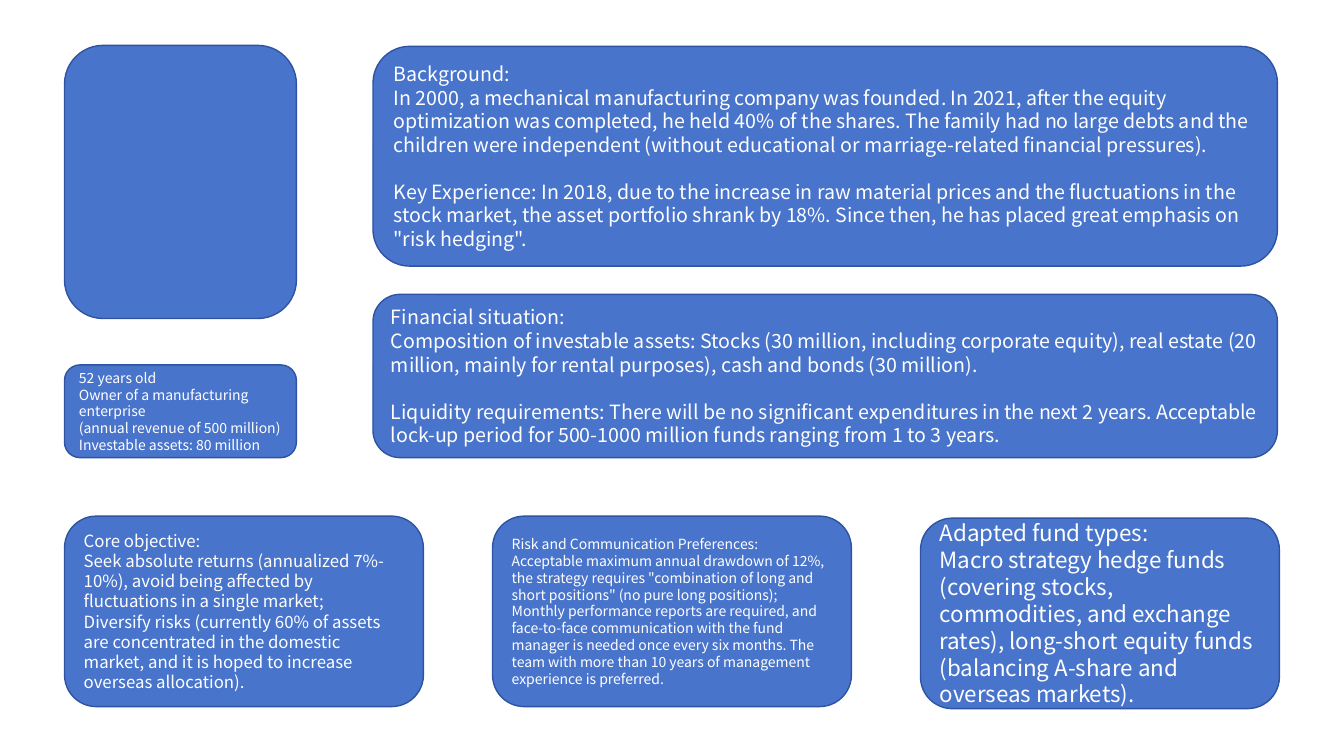
import pptx
import pptx.util
from pptx.dml.color import RGBColor
from pptx.enum.shapes import MSO_SHAPE
from pptx.enum.text import MSO_ANCHOR, PP_ALIGN
from pptx.util import Inches, Pt

COLORS = {"fill": "4874CB", "line": "2E54A1", "text": "FFFFFF"}
FONT = "Noto Sans CJK JP"
LINE_PITCH = 1.2

LEFT = 0.64
PROFILE_W = 2.3
DETAIL_X, DETAIL_W = 3.7, 8.97
CARD_W, CARD_H, CARD_STEP = 3.56, 1.89, 4.245

PROFILE = [
    "52 years old",
    "Owner of a manufacturing enterprise",
    "(annual revenue of 500 million)",
    "Investable assets: 80 million",
]
BACKGROUND = [
    "Background:",
    "In 2000, a mechanical manufacturing company was founded. In 2021, after the equity "
    "optimization was completed, he held 40% of the shares. The family had no large debts and "
    "the children were independent (without educational or marriage-related financial pressures).",
    "Key Experience: In 2018, due to the increase in raw material prices and the fluctuations in "
    "the stock market, the asset portfolio shrank by 18%. Since then, he has placed great "
    "emphasis on \"risk hedging\".",
]
FINANCES = [
    "Financial situation:",
    "Composition of investable assets: Stocks (30 million, including corporate equity), real "
    "estate (20 million, mainly for rental purposes), cash and bonds (30 million).",
    "Liquidity requirements: There will be no significant expenditures in the next 2 years. "
    "Acceptable lock-up period for 500-1000 million funds ranging from 1 to 3 years.",
]
# top, text size, paragraphs
CARDS = [
    (5.12, 12, [
        "Core objective:",
        "Seek absolute returns (annualized 7%-10%), avoid being affected by fluctuations in a "
        "single market;",
        "Diversify risks (currently 60% of assets are concentrated in the domestic market, and "
        "it is hoped to increase overseas allocation).",
    ]),
    (5.12, 10, [
        "Risk and Communication Preferences:",
        "Acceptable maximum annual drawdown of 12%, the strategy requires \"combination of long "
        "and short positions\" (no pure long positions);",
        "Monthly performance reports are required, and face-to-face communication with the fund "
        "manager is needed once every six months. The team with more than 10 years of management "
        "experience is preferred.",
    ]),
    (5.14, 16, [
        "Adapted fund types:",
        "Macro strategy hedge funds (covering stocks, commodities, and exchange rates), "
        "long-short equity funds (balancing A-share and overseas markets).",
    ]),
]


def add_panel(s, x, y, w, h, size=10, paragraphs=(), gap_before=None):
    """Rounded panel; gap_before is the index of a paragraph set off by one line."""
    sp = s.shapes.add_shape(MSO_SHAPE.ROUNDED_RECTANGLE,
                            Inches(x), Inches(y), Inches(w), Inches(h))
    sp.shadow.inherit = False
    sp.fill.solid()
    sp.fill.fore_color.rgb = RGBColor.from_string(COLORS["fill"])
    sp.line.color.rgb = RGBColor.from_string(COLORS["line"])
    sp.line.width = Pt(1)
    if not paragraphs:
        return
    tf = sp.text_frame
    tf.word_wrap = True
    tf.vertical_anchor = MSO_ANCHOR.MIDDLE
    tf.text = "\n".join(paragraphs)
    for i, p in enumerate(tf.paragraphs):
        p.alignment = PP_ALIGN.LEFT
        p.line_spacing = Pt(size * LINE_PITCH)
        if i == gap_before:
            p.space_before = Pt(size * LINE_PITCH)
        for r in p.runs:
            r.font.name = FONT
            r.font.size = Pt(size)
            r.font.color.rgb = RGBColor.from_string(COLORS["text"])


def add_profile(s, x, y, w):
    add_panel(s, x, y, w, 2.71)
    add_panel(s, x, y + 3.17, w, 0.92, 10, PROFILE)


def add_details(s, x, y, w):
    add_panel(s, x, y, w, 2.18, 14, BACKGROUND, gap_before=2)
    add_panel(s, x, y + 2.46, w, 1.62, 14, FINANCES, gap_before=2)


def add_cards(s, x):
    for i, (y, size, paragraphs) in enumerate(CARDS):
        add_panel(s, x + i * CARD_STEP, y, CARD_W, CARD_H, size, paragraphs)


def main():
    prs = pptx.Presentation()
    prs.slide_width, prs.slide_height = Inches(13.33), Inches(7.5)
    s = prs.slides.add_slide(prs.slide_layouts[6])
    add_profile(s, LEFT, 0.45, PROFILE_W)
    add_details(s, DETAIL_X, 0.46, DETAIL_W)
    add_cards(s, LEFT)
    prs.save("out.pptx")


if __name__ == "__main__":
    main()
